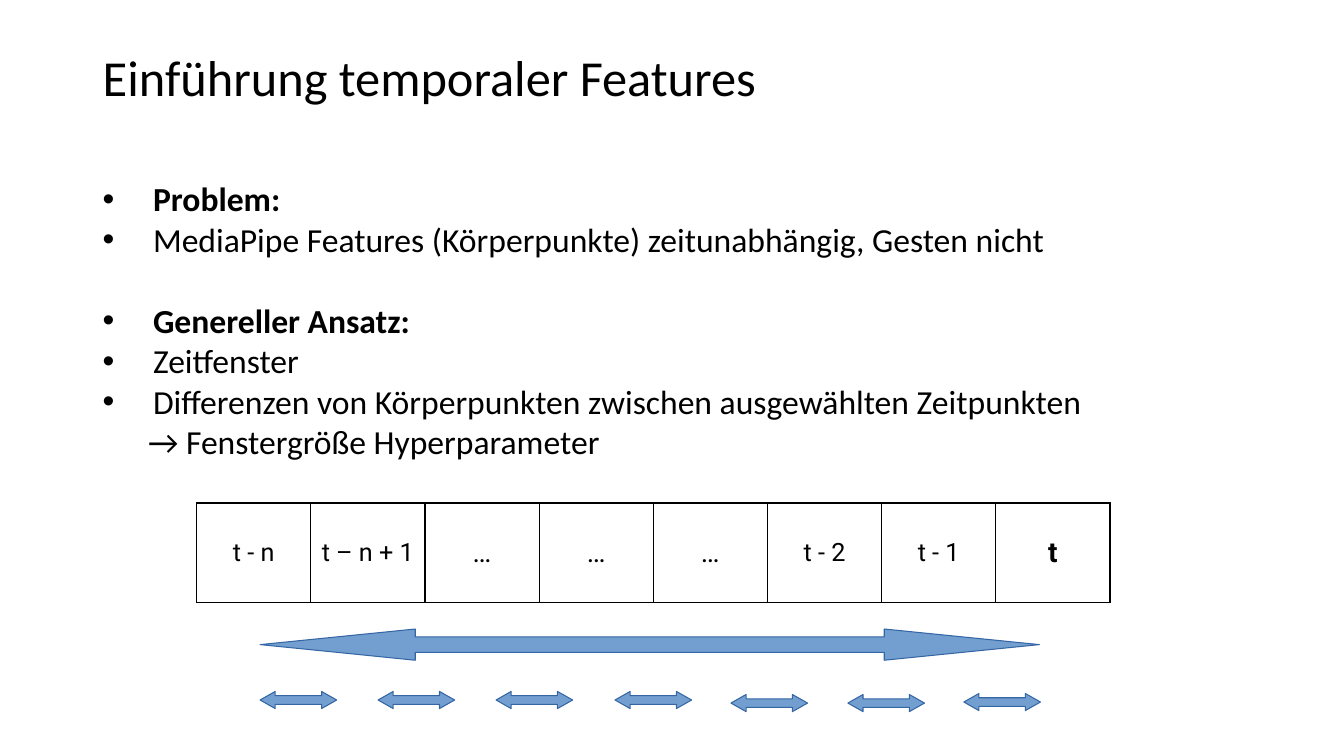
from dataclasses import dataclass

from lxml.etree import SubElement
from pptx import Presentation
from pptx.dml.color import RGBColor
from pptx.enum.shapes import MSO_SHAPE
from pptx.enum.text import MSO_ANCHOR, PP_ALIGN
from pptx.oxml.ns import qn
from pptx.slide import Slide
from pptx.table import _Cell
from pptx.text.text import TextFrame, _Paragraph
from pptx.util import Inches, Pt

BLACK = RGBColor(0x00, 0x00, 0x00)
ARROW_FILL = RGBColor(0x72, 0x9F, 0xCF)
ARROW_LINE = RGBColor(0x34, 0x65, 0xA4)


@dataclass(frozen=True)
class Line:
    text: str
    bold: bool = False
    bullet: bool = True
    gap: float = 0  # points above the line


@dataclass(frozen=True)
class TimeStep:
    text: str
    size: int = 18
    bold: bool = False


@dataclass(frozen=True)
class Arrow:
    left: float
    top: float
    width: float
    height: float
    head: float


TITLE = "Einführung temporaler Features"
LINES = [
    Line("Problem:", bold=True),
    Line("MediaPipe Features (Körperpunkte) zeitunabhängig, Gesten nicht"),
    Line("Genereller Ansatz:", bold=True, gap=29.3),
    Line("Zeitfenster"),
    Line("Differenzen von Körperpunkten zwischen ausgewählten Zeitpunkten"),
    Line("→ Fenstergröße Hyperparameter", bullet=False),
]
TIME_STEPS = [
    TimeStep("t - n"),
    TimeStep("t – n + 1"),
    *[TimeStep("…", 20)] * 3,
    TimeStep("t - 2"),
    TimeStep("t - 1"),
    TimeStep("t", 20, bold=True),
]
STEP_ARROW_PLACES = [(2.58, 6.86), (3.75, 6.86), (4.92, 6.86), (6.1, 6.86),
                     (7.25, 6.89), (8.41, 6.89), (9.56, 6.88)]
ARROWS = [Arrow(2.58, 6.24, 7.73, 0.31, 1.54)] + [
    Arrow(left, top, 0.76, 0.17, 0.15) for left, top in STEP_ARROW_PLACES
]


def add_span(para: _Paragraph, text: str, size: float, name: str = "Calibri",
             bold: bool = False) -> None:
    span = para.add_run()
    span.text = text
    span.font.color.rgb = BLACK
    formats = {"size": Pt(size), "name": name, "bold": bold}
    for attribute, value in formats.items():
        setattr(span.font, attribute, value)


def add_text_frame(page: Slide, top: float, height: float,
                   anchor: MSO_ANCHOR) -> TextFrame:
    box = page.shapes.add_textbox(Inches(0.92), Inches(top), Inches(11.5), Inches(height))
    box.text_frame.word_wrap = True
    box.text_frame.vertical_anchor = anchor
    return box.text_frame


def indent(para: _Paragraph, bullet: bool) -> None:
    properties = para._p.get_or_add_pPr()
    properties.set("marL", str(Inches(0.5 if bullet else 0.45)))
    properties.set("indent", str(Inches(-0.5 if bullet else 0)))
    if bullet:
        SubElement(properties, qn("a:buFont"), typeface="Arial")
        SubElement(properties, qn("a:buChar"), char="•")


def add_lines(page: Slide, lines: list[Line]) -> None:
    frame = add_text_frame(page, 1.72, 3.33, MSO_ANCHOR.TOP)
    for number, line in enumerate(lines):
        para = frame.add_paragraph() if number else frame.paragraphs[0]
        para.space_before = Pt(line.gap)
        indent(para, line.bullet)
        add_span(para, line.text, 24, bold=line.bold)


def add_borders(cell: _Cell) -> None:
    properties = cell._tc.get_or_add_tcPr()
    for side in ("lnL", "lnR", "lnT", "lnB"):
        border = SubElement(properties, qn(f"a:{side}"), w=str(Pt(0.96)))
        fill = SubElement(border, qn("a:solidFill"))
        SubElement(fill, qn("a:srgbClr"), val=str(BLACK))


def add_time_window(page: Slide, steps: list[TimeStep]) -> None:
    table = page.shapes.add_table(1, len(steps), Inches(1.95), Inches(4.99),
                                  Inches(9.06), Inches(0.99)).table
    table.first_row = table.horz_banding = False
    for cell, step in zip(table.iter_cells(), steps):
        add_borders(cell)
        cell.fill.background()
        formats = {"vertical_anchor": MSO_ANCHOR.MIDDLE,
                   "margin_left": Inches(0.05), "margin_right": Inches(0.05)}
        for attribute, value in formats.items():
            setattr(cell, attribute, value)
        para = cell.text_frame.paragraphs[0]
        para.alignment = PP_ALIGN.CENTER
        add_span(para, step.text, step.size, "Roboto", step.bold)


def add_arrow(page: Slide, arrow: Arrow) -> None:
    shape = page.shapes.add_shape(
        MSO_SHAPE.LEFT_RIGHT_ARROW, Inches(arrow.left), Inches(arrow.top),
        Inches(arrow.width), Inches(arrow.height))
    shape.shadow.inherit = False
    shape.adjustments[0] = 0.5
    shape.adjustments[1] = arrow.head / arrow.height
    shape.fill.solid()
    shape.fill.fore_color.rgb = ARROW_FILL
    shape.line.color.rgb = ARROW_LINE
    shape.line.width = Pt(0.75)


def main() -> None:
    deck = Presentation()
    deck.slide_width, deck.slide_height = Inches(13.33), Inches(7.5)
    page = deck.slides.add_slide(deck.slide_layouts[6])

    # Title
    title = add_text_frame(page, 0.07, 1.45, MSO_ANCHOR.MIDDLE).paragraphs[0]
    title.line_spacing = 0.9
    add_span(title, TITLE, 36)

    # Problem and approach
    add_lines(page, LINES)

    # Time window with the differences below it
    add_time_window(page, TIME_STEPS)
    for arrow in ARROWS:
        add_arrow(page, arrow)

    deck.save("out.pptx")


if __name__ == "__main__":
    main()
